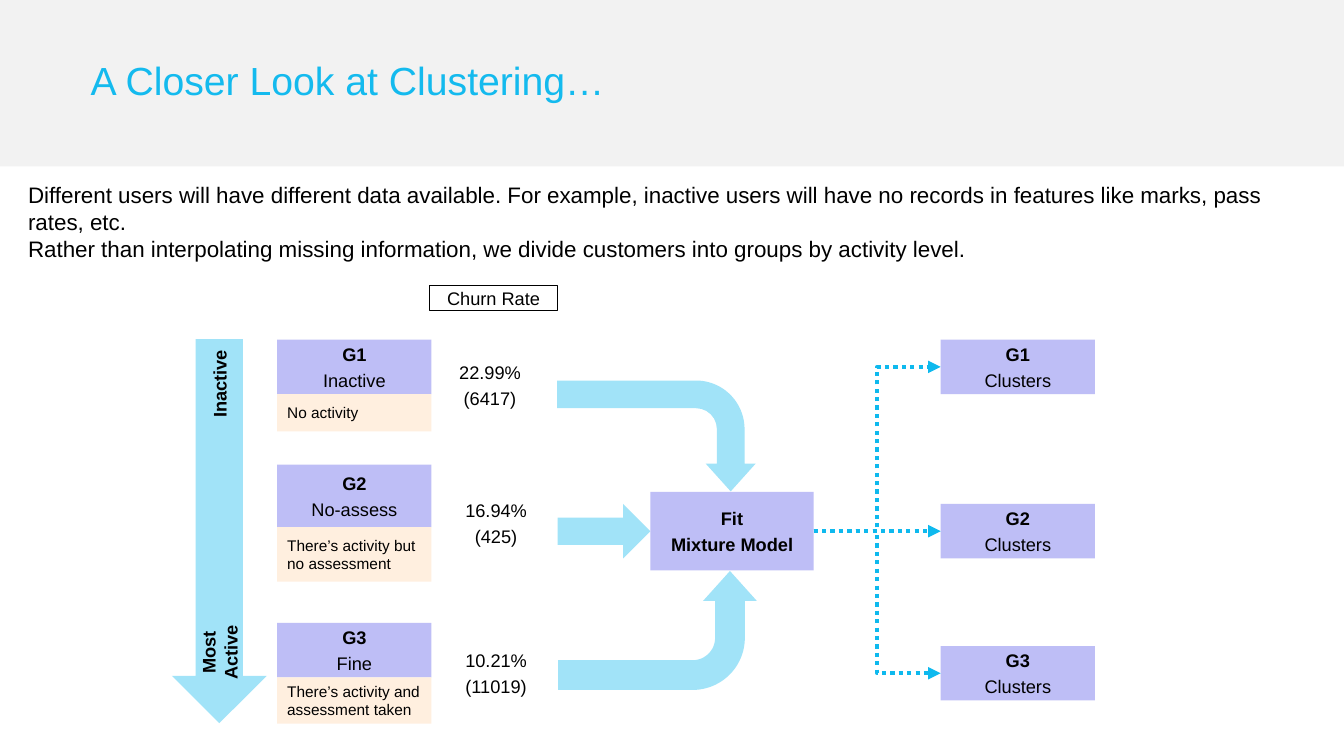
from dataclasses import dataclass

from lxml import etree
from pptx import Presentation
from pptx import util as u
from pptx.dml.color import RGBColor
from pptx.enum import dml, shapes, text
from pptx.oxml.ns import qn


@dataclass(frozen=True)
class Theme:
    """Colours, font and type sizes of the slide."""
    font: str = "Arial"
    back: str = "F2F2F2"
    white: str = "FFFFFF"
    ink: str = "000000"
    title: str = "14BAEE"
    link: str = "0EB9EE"
    arrow: str = "A1E3F8"
    head: str = "BEBEF6"
    note: str = "FFEFDF"
    big: int = 28
    lead: int = 16
    label: int = 13
    small: int = 11


KIND = shapes.MSO_SHAPE
LEFT, MID = text.PP_ALIGN.LEFT, text.PP_ALIGN.CENTER


class Board:
    """Draws on one slide, with places given as columns and rows of a tenth of an inch."""

    def __init__(self, deck, theme):
        """Add a slide and paint its background."""
        self.theme = theme
        self.slide = deck.slides.add_slide(deck.slide_layouts[5])
        self.paint(self.slide.background.fill, theme.back)

    def grid(self, place):
        """Turn columns and rows into lengths."""
        return [u.Inches(cell / 10) for cell in place]

    def paint(self, fill, hue):
        """Fill with one colour."""
        fill.solid()
        fill.fore_color.rgb = RGBColor.from_string(hue)

    def letter(self, shape, words, size, hue=None, align=MID, bold=(), gap=3):
        """Set the text and format each line."""
        frame = shape.text_frame
        frame.text = words
        frame.word_wrap = True
        frame.auto_size = text.MSO_AUTO_SIZE.NONE
        frame.vertical_anchor = text.MSO_ANCHOR.MIDDLE
        for row, para in enumerate(frame.paragraphs):
            para.alignment = align
            para.space_before = u.Pt(gap if row else 0)
            for run in para.runs:
                run.font.name = self.theme.font
                run.font.size = u.Pt(size)
                run.font.bold = row in bold
                run.font.color.rgb = RGBColor.from_string(hue or self.theme.ink)
        return frame

    def title(self, place, words):
        """Place and format the title."""
        head = self.slide.shapes.title
        head.left, head.top, head.width, head.height = self.grid(place)
        frame = self.letter(head, words, self.theme.big, self.theme.title, LEFT)
        frame.margin_top = frame.margin_bottom = u.Inches(0.1)
        frame.paragraphs[0].line_spacing = 0.9

    def label(self, place, words, size=None, turn=0, **style):
        """Add a text box."""
        box = self.slide.shapes.add_textbox(*self.grid(place))
        box.rotation = turn
        frame = self.letter(box, words, size or self.theme.label, **style)
        if turn:
            frame.margin_left = frame.margin_right = 0

    def shape(self, kind, place, hue=None, turn=0, flips=(), edge=None):
        """Add a preset shape."""
        item = self.slide.shapes.add_shape(kind, *self.grid(place))
        item.shadow.inherit = False
        item.rotation = turn
        for flip in flips:
            item._element.spPr.find(qn("a:xfrm")).set(flip, "1")
        if hue:
            self.paint(item.fill, hue)
        else:
            item.fill.background()
        if edge:
            self.paint(item.line.fill, edge)
            item.line.width = u.Pt(1)
        else:
            item.line.fill.background()
        return item

    def box(self, place, words, bold=(0,)):
        """Add a tinted box with centred lines."""
        item = self.shape(KIND.RECTANGLE, place, self.theme.head)
        self.letter(item, words, self.theme.label, bold=bold)
        return item

    def bend(self, place, flips):
        """Add a bent arrow."""
        item = self.shape(KIND.BENT_ARROW, place, self.theme.arrow, 270, flips)
        for spot, value in enumerate((0.25, 0.225, 0.25, 0.438)):
            item.adjustments[spot] = value

    def link(self, start, end):
        """Join two boxes with a dotted arrow."""
        tail = start.top + start.height // 2
        tip = end.top + end.height // 2
        kinds = shapes.MSO_CONNECTOR
        kind = kinds.STRAIGHT if tail == tip else kinds.ELBOW
        line = self.slide.shapes.add_connector(
            kind, start.left + start.width, tail, end.left, tip)
        line.begin_connect(start, 3)
        line.end_connect(end, 1)
        self.paint(line.line.fill, self.theme.link)
        line.line.width = u.Pt(3)
        line.line.dash_style = dml.MSO_LINE.ROUND_DOT
        edge = line.line._get_or_add_ln()
        etree.SubElement(edge, qn("a:tailEnd")).set("type", "triangle")
        etree.SubElement(line._element.spPr, qn("a:effectLst"))


GROUPS = [
    ("G1\nInactive", "No activity", "22.99%\n(6417)", 33.7, 5.4, 3.7, 48.6),
    ("G2\nNo-assess", "There’s activity but no assessment", "16.94%\n(425)",
     46.1, 6.2, 5.4, 49.2),
    ("G3\nFine", "There’s activity and assessment taken", "10.21%\n(11019)",
     61.8, 5.4, 4.6, 49.2),
]
LEAD = (
    "Different users will have different data available. For example, inactive users "
    "will have no records in features like marks, pass rates, etc.\n"
    "Rather than interpolating missing information, we divide customers into groups "
    "by activity level."
)


def main():
    """Build the slide and save it."""
    deck = Presentation()
    deck.slide_width, deck.slide_height = u.Inches(13.33), u.Inches(7.5)
    theme = Theme()
    board = Board(deck, theme)
    board.shape(KIND.RECTANGLE, (0, 16.5, 133.3, 58.5), theme.white)
    board.title((8, 0, 96.8, 16.5), "A Closer Look at Clustering…")
    board.label((1.8, 17.4, 129.5, 9.1), LEAD, theme.lead, align=LEFT, gap=0)

    board.shape(KIND.RIGHT_ARROW, (2.7, 48, 38.1, 9.4), theme.arrow, 90)
    board.label((18.8, 63, 5.9, 3.4), "Most Active", turn=270, bold=(0,))
    board.label((18, 36.4, 7.5, 3.4), "Inactive", turn=270, bold=(0,))

    wide = 15.3
    for name, note, rate, top, high, low, mid in GROUPS:
        board.box((27.5, top, wide, high), name)
        item = board.shape(KIND.RECTANGLE, (27.5, top + high, wide, low), theme.note)
        board.letter(item, note, theme.small, align=LEFT)
        board.label((mid - 5, top, 10, high + low), rate)

    churn = board.shape(KIND.RECTANGLE, (42.6, 28.3, 12.7, 2.5), edge=theme.ink)
    board.letter(churn, "Churn Rate", theme.label)

    board.shape(KIND.RIGHT_ARROW, (55.3, 50, 9.2, 5.4), theme.arrow)
    board.bend((59.3, 52.7, 11.8, 19.7), ("flipV",))
    board.bend((59.6, 33.4, 11, 19.7), ("flipH", "flipV"))
    model = board.box((64.5, 48.8, 16.2, 7.8), "Fit\nMixture Model", (0, 1))

    for rank, top in enumerate((33.7, 50, 64.1), 1):
        board.link(model, board.box((93.3, top, wide, 5.4), f"G{rank}\nClusters"))
    deck.save("out.pptx")


if __name__ == "__main__":
    main()
